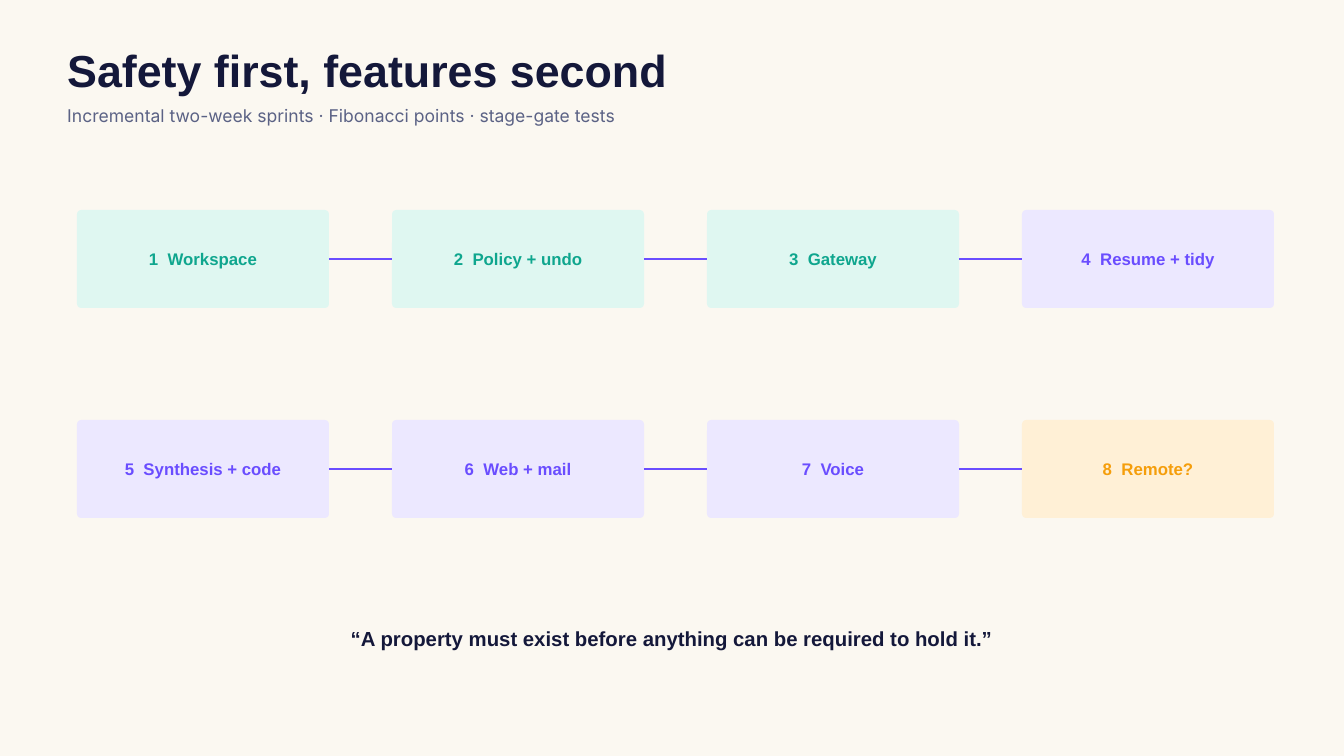
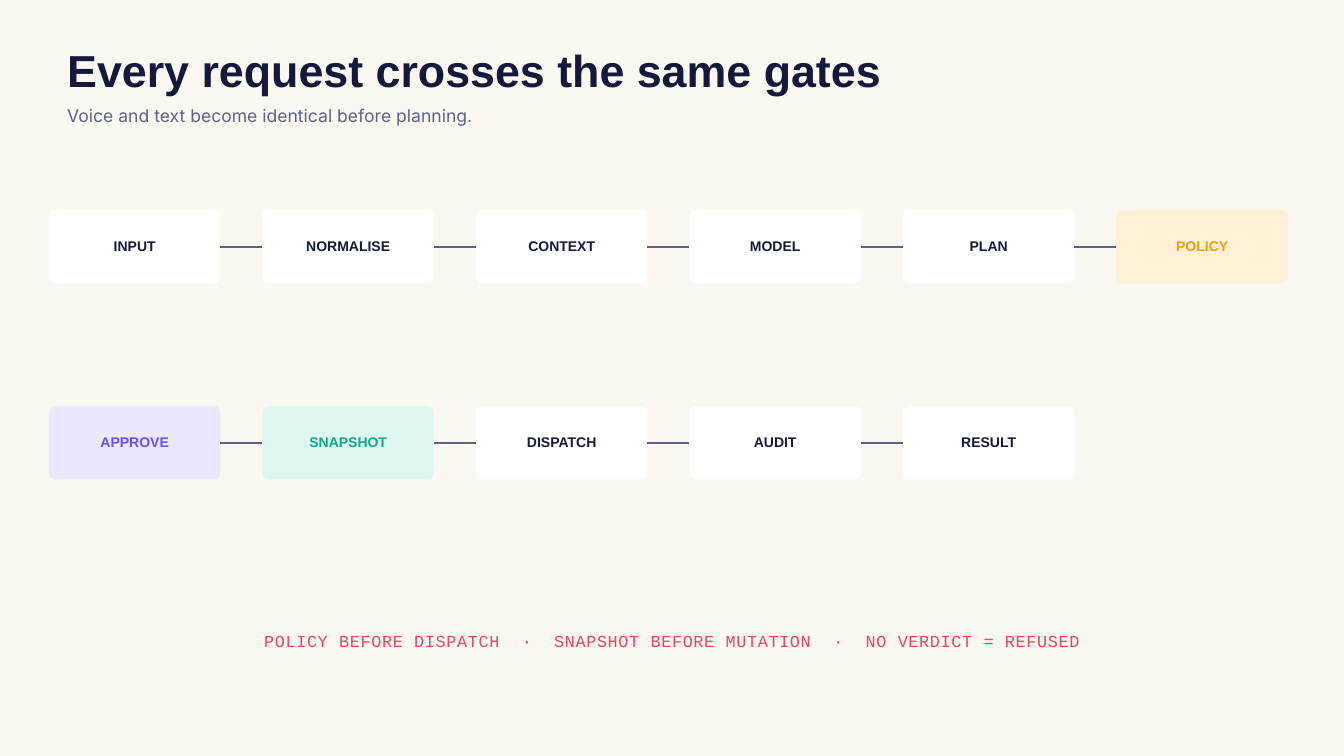
from itertools import pairwise

from lxml.etree import SubElement
from pptx import Presentation
from pptx.dml.color import RGBColor
from pptx.enum.shapes import MSO_CONNECTOR as Link, MSO_SHAPE as Shape
from pptx.enum.text import MSO_ANCHOR as Anchor, MSO_AUTO_SIZE as AutoSize, PP_ALIGN as Align
from pptx.oxml.ns import qn
from pptx.util import Inches, Pt

COLUMNS, ROWS = 192, 108
PAPER, INK, SLATE, RED = "FBF8F1", "14183A", "5B6285", "E8465F"
VIOLET = "6A4DFF"
PLAIN, GREEN, PURPLE, AMBER = (
    ("FFFFFF", INK), ("DFF7F1", "0FA68E"), ("ECE8FF", VIOLET), ("FFF0D6", "F59E0B"))
SPACE_WIDTH = {"Arial": 0.28, "Courier New": 0.6}


def rgb(code):
    """Turn a hex string into a colour."""
    return RGBColor.from_string(code)


class Deck:
    """Hold the shared style and the current slide, measured in grid columns and rows."""

    def __init__(self):
        """Open a wide presentation and derive its grid unit."""
        self.show = Presentation()
        self.show.slide_width, self.show.slide_height = Inches(20), Inches(11.25)
        self.column = self.show.slide_width / COLUMNS
        self.row = self.show.slide_height / ROWS

    def place(self, left, top, width, height):
        """Convert grid positions to slide lengths."""
        return (round(left * self.column), round(top * self.row),
                round(width * self.column), round(height * self.row))

    def add_slide(self, headline, subtitle):
        """Start a slide with the paper background and heading pair."""
        self.slide = self.show.slides.add_slide(self.show.slide_layouts[6])
        fill = self.slide.background.fill
        fill.solid()
        fill.fore_color.rgb = rgb(PAPER)
        self.text((9.6, 7, 150, 7.9), [headline], 48, 50.4, INK, bold=True)
        self.text((9.6, 14.7, 150, 3.3), [subtitle], 18.8, 25.3, SLATE, "Inter")

    def set_words(self, frame, parts, size, leading, color, font="Arial", bold=False,
                  align=Align.LEFT, tracking=0):
        """Set the parts as runs, kept apart by one double-width space."""
        frame.word_wrap = True
        paragraph = frame.paragraphs[0]
        paragraph.alignment = align
        paragraph.line_spacing = Pt(leading)
        for index, part in enumerate(parts):
            if index:
                gap = tracking * 2 + SPACE_WIDTH[font] * size
                self.add_run(paragraph, " ", size, color, font, bold, gap)
            self.add_run(paragraph, part, size, color, font, bold, tracking)

    def add_run(self, paragraph, words, size, color, font, bold, tracking):
        """Append one styled run."""
        run = paragraph.add_run()
        run.text = words
        run.font.size, run.font.name, run.font.bold = Pt(size), font, bold
        run.font.color.rgb = rgb(color)
        if tracking:
            run._r.get_or_add_rPr().set("spc", str(round(tracking * 100)))

    def text(self, area, parts, *style, **options):
        """Add a text box without margins."""
        frame = self.slide.shapes.add_textbox(*self.place(*area)).text_frame
        frame.margin_left = frame.margin_right = frame.margin_top = frame.margin_bottom = 0
        frame.auto_size = AutoSize.SHAPE_TO_FIT_TEXT
        self.set_words(frame, parts, *style, **options)

    def step(self, area, parts, tone, size, radius):
        """Add a rounded step box with its label."""
        fill, ink = tone
        box = self.slide.shapes.add_shape(Shape.ROUNDED_RECTANGLE, *self.place(*area))
        box.shadow.inherit = False
        box.adjustments[0] = radius / area[3]
        box.fill.solid()
        box.fill.fore_color.rgb = rgb(fill)
        box.line.fill.background()
        frame = box.text_frame
        frame.vertical_anchor = Anchor.MIDDLE
        frame.margin_left = frame.margin_right = frame.margin_top = Inches(0.06)
        frame.margin_bottom = Inches(0.12)
        self.set_words(frame, parts, size, size * 1.4, ink, bold=True, align=Align.CENTER)
        return box

    def link(self, before, after, color):
        """Join two neighbouring steps by a line."""
        line = self.slide.shapes.add_connector(Link.STRAIGHT, 0, 0, 0, 0)
        line.begin_connect(before, 3)
        line.end_connect(after, 1)
        line.line.color.rgb = rgb(color)
        line.line.width = Pt(2.25)
        SubElement(line._element.spPr, qn("a:effectLst"))

    def flow(self, lanes, origin, box, pitch, size, radius, line_color):
        """Lay out lanes of steps on a regular grid and link each lane."""
        for lane_index, lane in enumerate(lanes):
            top = origin[1] + lane_index * pitch[1]
            steps = [self.step((origin[0] + index * pitch[0], top, *box),
                               parts, tone, size, radius)
                     for index, (parts, tone) in enumerate(lane)]
            for before, after in pairwise(steps):
                self.link(before, after, line_color)


def main():
    """Build both slides and save them."""
    deck = Deck()

    deck.add_slide("Safety first, features second",
                   "Incremental two-week sprints · Fibonacci points · stage-gate tests")
    stages = [("Workspace", GREEN), ("Policy + undo", GREEN), ("Gateway", GREEN),
              ("Resume + tidy", PURPLE), ("Synthesis + code", PURPLE),
              ("Web + mail", PURPLE), ("Voice", PURPLE), ("Remote?", AMBER)]
    numbered = [((str(number), name), tone)
                for number, (name, tone) in enumerate(stages, 1)]
    deck.flow([numbered[:4], numbered[4:]], origin=(11, 30), box=(36, 14),
              pitch=(45, 30), size=18, radius=0.6, line_color=VIOLET)
    deck.text((32, 89.9, 128, 3.5),
              ["“A property must exist before anything can be required to hold it.”"],
              21.8, 22.8, INK, bold=True, align=Align.CENTER)

    deck.add_slide("Every request crosses the same gates",
                   "Voice and text become identical before planning.")
    tones = {"POLICY": AMBER, "APPROVE": PURPLE, "SNAPSHOT": GREEN}
    gates = [((name,), tones.get(name, PLAIN)) for name in (
        "INPUT", "NORMALISE", "CONTEXT", "MODEL", "PLAN", "POLICY",
        "APPROVE", "SNAPSHOT", "DISPATCH", "AUDIT", "RESULT")]
    deck.flow([gates[:6], gates[6:]], origin=(7, 30), box=(24.5, 10.5),
              pitch=(30.5, 28), size=15, radius=0.9, line_color=SLATE)
    deck.text((21, 89.6, 150, 3.3),
              ["POLICY BEFORE DISPATCH", "·", "SNAPSHOT BEFORE MUTATION", "·",
               "NO VERDICT = REFUSED"],
              18, 25.2, RED, "Courier New", align=Align.CENTER, tracking=0.7)

    deck.show.save("out.pptx")


if __name__ == "__main__":
    main()
